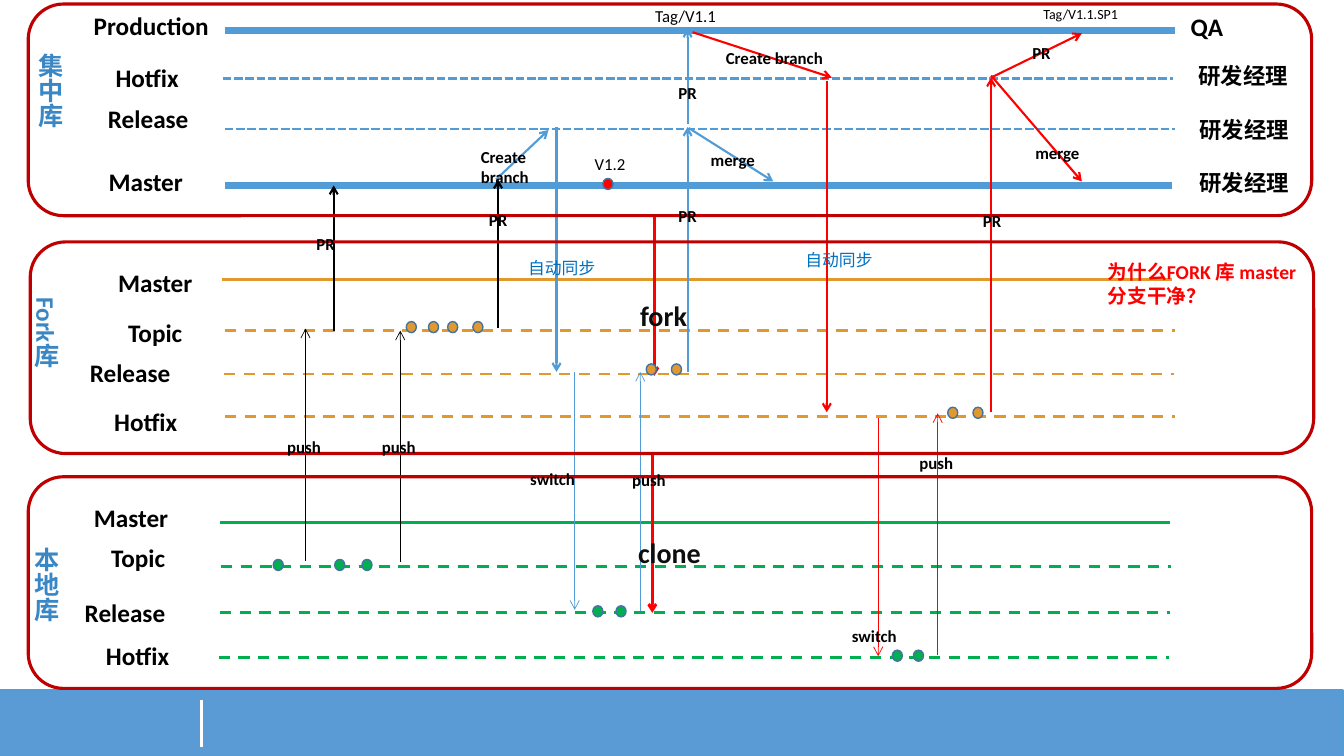
from lxml import etree
from pptx import Presentation
from pptx.dml.color import RGBColor
from pptx.enum.dml import MSO_LINE
from pptx.enum.shapes import MSO_CONNECTOR, MSO_SHAPE
from pptx.enum.text import MSO_AUTO_SIZE, PP_ALIGN
from pptx.oxml.ns import qn
from pptx.util import Inches, Pt

LEFT, MID = PP_ALIGN.LEFT, PP_ALIGN.CENTER
DASH, DOTTED = MSO_LINE.DASH, MSO_LINE.SQUARE_DOT
RECT, ROUND, DOT = MSO_SHAPE.RECTANGLE, MSO_SHAPE.ROUNDED_RECTANGLE, MSO_SHAPE.FLOWCHART_CONNECTOR
BLUE, GOLD, GREEN, RED, BLACK = "519CD6", "E1992F", "00B050", "FF0000", "000000"

deck = Presentation()
deck.slide_width, deck.slide_height = Inches(13.33), Inches(7.5)
slide = deck.slides.add_slide(deck.slide_layouts[6])
cell = deck.slide_width // 1333


def paint(part, color):
    part.solid()
    part.fore_color.rgb = RGBColor.from_string(color)


def link(ends, color, width, dash=None, head=False):
    wire = slide.shapes.add_connector(MSO_CONNECTOR.STRAIGHT, *[n * cell for n in ends])
    paint(wire.line.fill, color)
    wire.line.width = Pt(width)
    if dash:
        wire.line.dash_style = dash
    if head:
        etree.SubElement(wire.line._get_or_add_ln(), qn("a:tailEnd"), type="arrow")
    etree.SubElement(wire._element.spPr, qn("a:effectLst"))


lanes = [
    (223, 30, 942, BLUE, 5, None), (221, 78, 942, BLUE, 2, DOTTED),
    (223, 128, 942, BLUE, 2, DOTTED), (223, 184, 939, BLUE, 5, None),
    (220, 277, 942, GOLD, 2, None), (223, 328, 942, GOLD, 2, DASH),
    (222, 371, 942, GOLD, 2, DASH), (223, 413, 942, GOLD, 2, DASH),
    (218, 518, 942, GREEN, 2, None), (219, 562, 942, GREEN, 2, DASH),
    (218, 608, 942, GREEN, 2, DASH), (217, 652, 942, GREEN, 2, DASH),
]
flows = {
    (BLACK, 1.5): [(331, 328, 331, 184), (494, 325, 494, 178)],
    (BLACK, 0.5): [(303, 557, 303, 326), (397, 558, 397, 328)],
    (BLUE, 1.5): [(552, 126, 552, 369), (682, 369, 682, 126), (683, 127, 767, 180),
                  (682, 123, 682, 28), (492, 178, 544, 129)],
    (BLUE, 0.5): [(570, 369, 570, 605), (635, 606, 635, 369)],
    (RED, 2): [(649, 214, 649, 373), (647, 449, 647, 608)],
    (RED, 1.5): [(687, 32, 825, 77), (820, 80, 820, 409), (983, 409, 983, 77),
                 (983, 77, 1073, 33), (983, 75, 1073, 180)],
    (RED, 0.5): [(871, 415, 871, 651), (930, 650, 930, 410)],
}
dots = [
    (GOLD, 319, [403, 425, 444, 469]), (GOLD, 361, [641, 666]), (GOLD, 404, [940, 965]),
    (GREEN, 555, [271, 332, 359]), (GREEN, 601, [588, 611]), (GREEN, 645, [885, 906]),
    (RED, 177, [598]),
]
shapes = [(RECT, -1, 685, 1333, 65, "5B9BD5", "529DD7", 1.5)]
shapes += [(DOT, col, row, 10, 11, color, "43739E", 1) for color, row, cols in dots for col in cols]
shapes += [(ROUND, col, row, 1273, 210, None, "C00000", 2.25)
           for col, row in [(28, 4), (30, 240), (28, 473)]]

for col, row, span, color, width, dash in lanes:
    link((col, row, col + span, row), color, width, dash)
for (color, width), paths in flows.items():
    for ends in paths:
        link(ends, color, width, head=True)
for kind, col, row, wide, high, fill, edge, width in shapes:
    shape = slide.shapes.add_shape(kind, *[n * cell for n in (col, row, wide, high)])
    shape.shadow.inherit = False
    if fill:
        paint(shape.fill, fill)
    else:
        shape.fill.background()
    paint(shape.line.fill, edge)
    shape.line.width = Pt(width)
link((200, 694, 200, 741), "FFFFFF", 2.25)

labels = [
    (18, BLACK, True, MID, 40, [
        ("Production", 80, 5, 140), ("Hotfix", 66, 57, 160),
        ("Release", 68, 98, 158), ("Master", 80, 160, 129),
        ("Master", 84, 260, 140), ("Topic", 105, 310, 98),
        ("Release", 50, 350, 158), ("Hotfix", 97, 398, 95),
        ("Master", 60, 493, 140), ("Topic", 57, 533, 160),
        ("Release", 45, 588, 158), ("Hotfix", 50, 630, 173)]),
    (18, BLACK, True, LEFT, 40, [("QA", 1171, 6, 140)]),
    (16, BLACK, True, MID, 37, [
        ("研发经理", 1163, 57, 140), ("研发经理", 1164, 110, 140), ("研发经理", 1164, 163, 140)]),
    (18, "3A87C5", True, LEFT, 151, [
        ("集中库", 20, 43, 50), ("Fork库", 16, 285, 50), ("本地库", 16, 533, 50)]),
    (20, "0D0D0D", True, LEFT, 44, [("fork", 625, 291, 77), ("clone", 623, 526, 97)]),
    (12, BLACK, True, LEFT, 30, [
        ("PR", 304, 227, 39), ("PR", 475, 203, 39), ("PR", 663, 199, 39),
        ("PR", 663, 77, 39), ("PR", 965, 204, 39), ("PR", 1014, 37, 39),
        ("push", 275, 428, 72), ("push", 369, 428, 72),
        ("push", 617, 461, 72), ("push", 902, 444, 72),
        ("switch", 516, 460, 72), ("switch", 835, 616, 65),
        ("merge", 695, 144, 77), ("merge", 1017, 137, 77),
        ("Create branch", 710, 42, 125)]),
    (12, BLACK, True, LEFT, 50, [("Create branch", 467, 141, 95)]),
    (12, BLACK, False, LEFT, 30, [("Tag/V1.1", 640, 1, 163), ("V1.2", 580, 148, 52)]),
    (10, BLACK, False, LEFT, 27, [("Tag/V1.1.SP1", 1025, 1, 163)]),
    (12, "0070C0", False, LEFT, 30, [("自动同步", 789, 243, 90), ("自动同步", 514, 251, 89)]),
    (14, RED, True, LEFT, 57, [("为什么FORK 库 master 分支干净？", 1089, 253, 214)]),
]
for size, color, bold, align, high, items in labels:
    style = {"name": "Calibri", "size": Pt(size), "bold": bold}
    for text, col, row, wide in items:
        box = slide.shapes.add_textbox(*[n * cell for n in (col, row, wide, high)])
        frame = box.text_frame
        upright = high > wide
        frame.word_wrap = upright or wide > 65
        frame.auto_size = MSO_AUTO_SIZE.SHAPE_TO_FIT_TEXT
        if upright:
            frame._txBody.bodyPr.set("vert", "eaVert")
        line = frame.paragraphs[0]
        line.alignment = align
        run = line.add_run()
        run.text = text
        for key, value in style.items():
            setattr(run.font, key, value)
        paint(run.font.fill, color)

deck.save("out.pptx")
